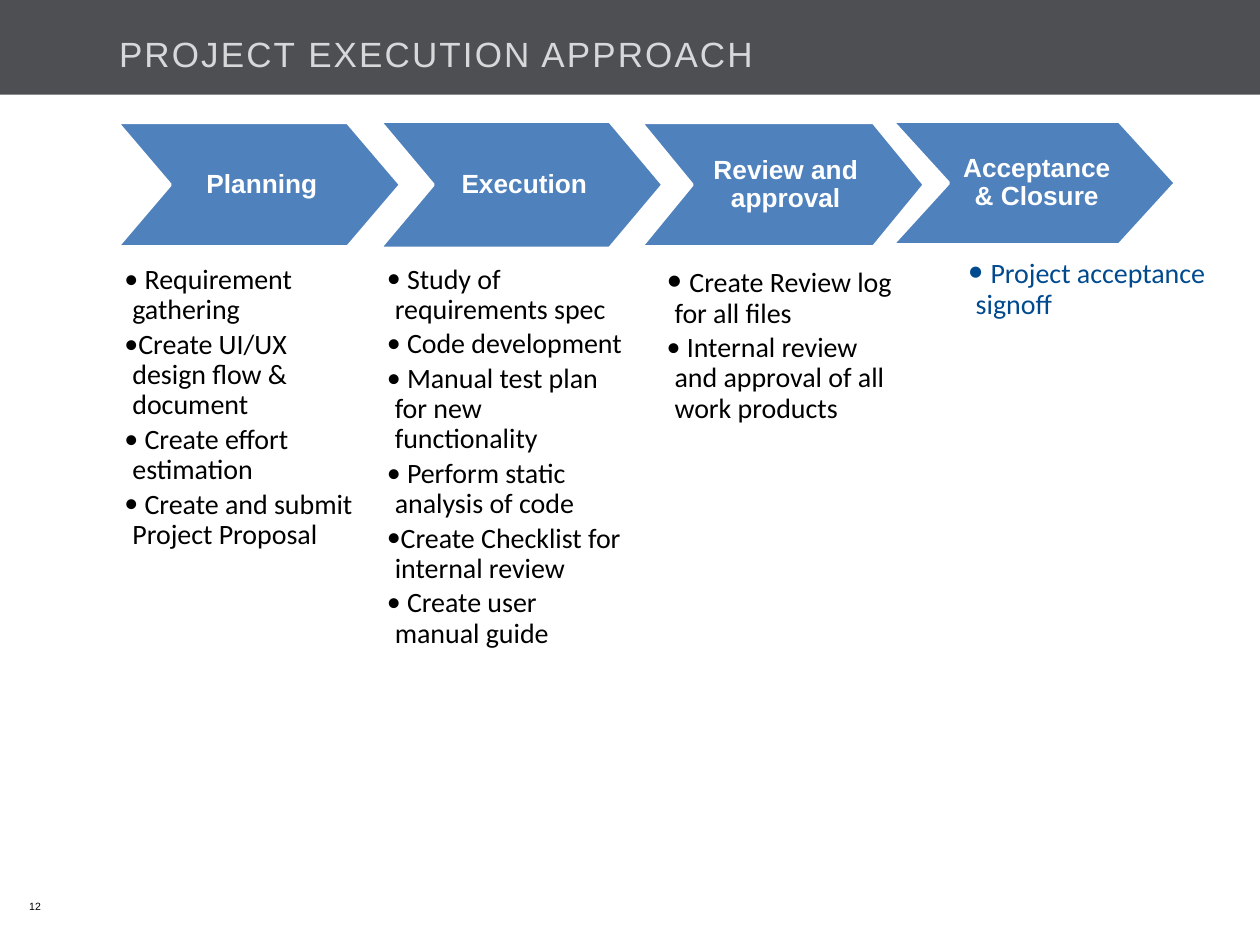
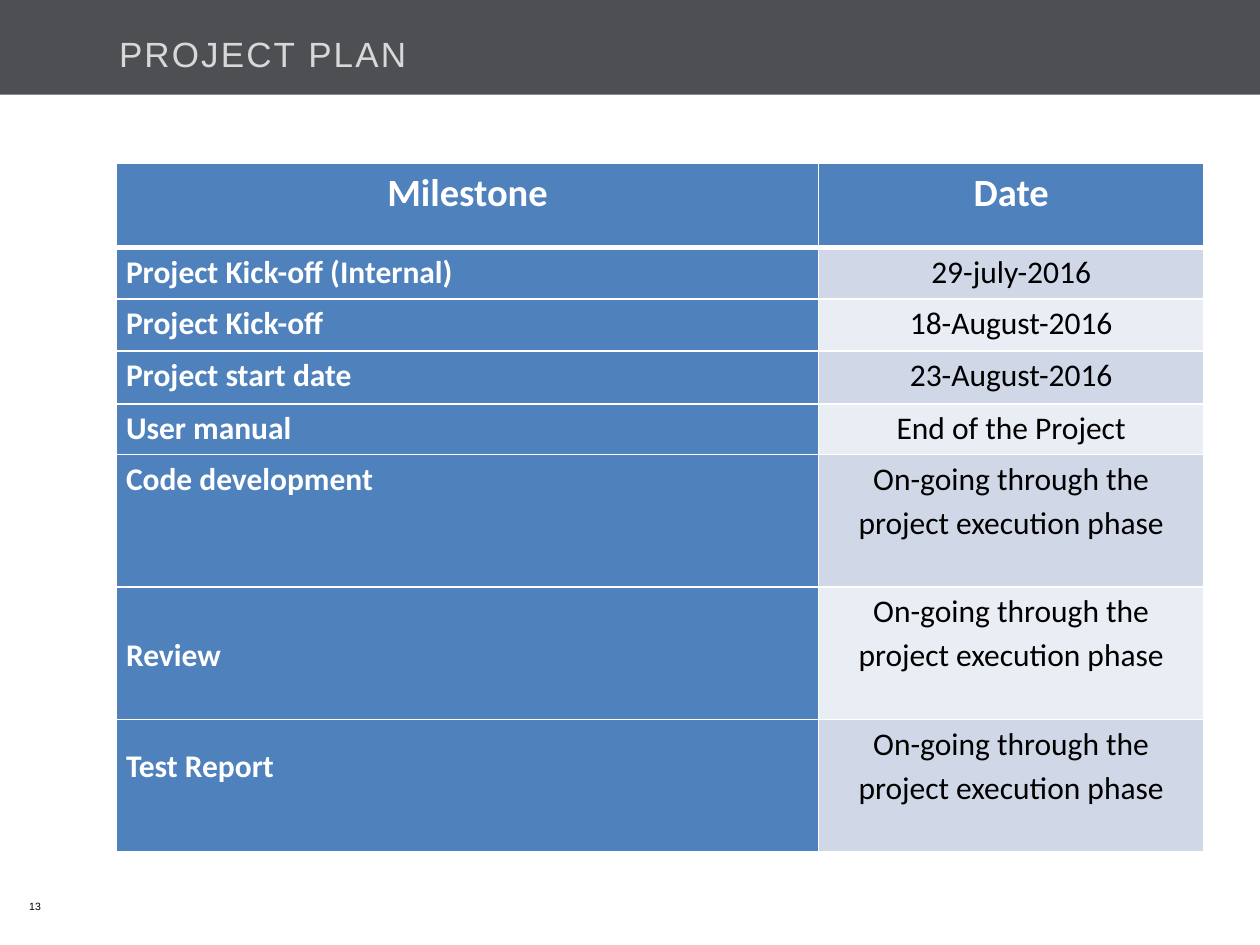
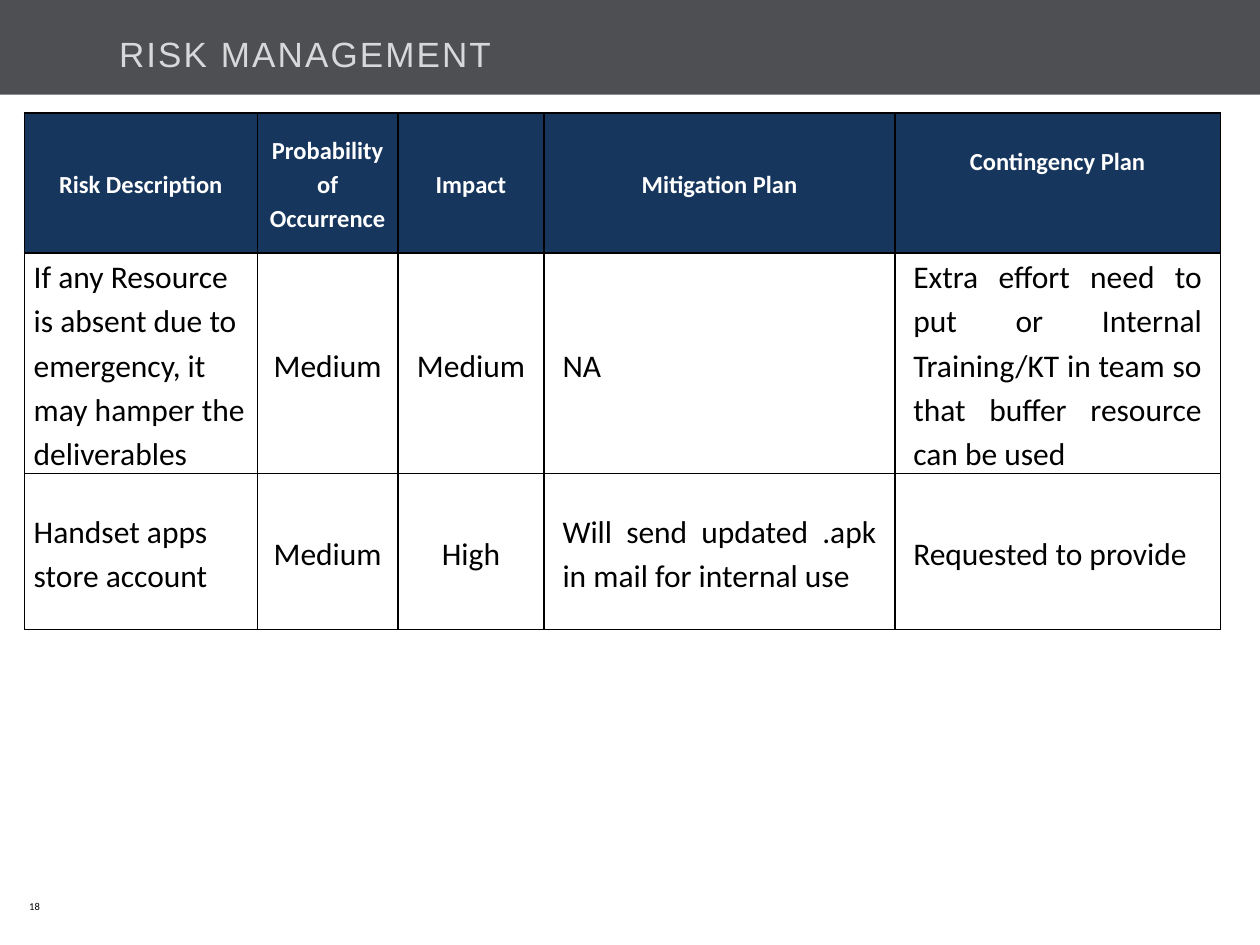
import pptx
import pptx.util
import pptx.dml.color
import pptx.enum.shapes
import pptx.enum.text
import pptx.oxml.ns
from lxml import etree

Cm = pptx.util.Cm
Pt = pptx.util.Pt
ALIGN = pptx.enum.text.PP_ALIGN
ANCHOR = pptx.enum.text.MSO_ANCHOR
SHAPE = pptx.enum.shapes.MSO_SHAPE
qn = pptx.oxml.ns.qn

COLORS = {
    "band": "4D4F53", "title": "D7D8D9", "blue": "4F81BD", "navy": "17365D",
    "link": "014A8E", "black": "000000", "white": "FFFFFF",
    "stripe": "D0D8E8", "pale": "E9EDF4",
}
BODY_FONT = "Calibri"


def rgb(name):
    return pptx.dml.color.RGBColor.from_string(COLORS[name])


def apply(obj, values):
    for key, value in values.items():
        setattr(obj, key, value)


class Deck:
    def __init__(self):
        self.prs = pptx.Presentation()
        apply(self.prs, {"slide_width": Cm(25.4), "slide_height": Cm(19.05)})
        self.s = None

    def slide(self, title, number, number_font="Arial"):
        self.s = self.prs.slides.add_slide(self.prs.slide_layouts[6])
        self.shape(SHAPE.RECTANGLE, (0, 17.53, 25.4, 1.52), "white")
        self.shape(SHAPE.RECTANGLE, (0, 0, 25.4, 1.91), "band")
        tf = self.box((0.29, 17.76, 1.68, 1.02), ANCHOR.MIDDLE, 0.3)
        self.run(tf.paragraphs[0], number, 6, "black", number_font)
        tf = self.box((2.4, 0.23, 21.72, 1.27), ANCHOR.BOTTOM)
        r = self.run(tf.paragraphs[0], title, 20, "title", "Arial")
        r.font._element.set("spc", "120")

    def shape(self, kind, at, fill=None, line=None):
        sp = self.s.shapes.add_shape(kind, *map(Cm, at))
        sp.shadow.inherit = False
        if fill:
            sp.fill.solid()
            sp.fill.fore_color.rgb = rgb(fill)
        else:
            sp.fill.background()
        if line:
            sp.line.color.rgb = rgb(line)
            sp.line.width = Pt(2)
        else:
            sp.line.fill.background()
        return sp

    def frame(self, tf, anchor, left=0, right=0):
        apply(tf, {"word_wrap": True, "vertical_anchor": anchor,
                   "margin_left": Cm(left), "margin_right": Cm(right),
                   "margin_top": 0, "margin_bottom": 0})
        return tf

    def box(self, at, anchor=ANCHOR.TOP, inset=0):
        sp = self.s.shapes.add_textbox(*map(Cm, at))
        return self.frame(sp.text_frame, anchor, inset, inset)

    def run(self, p, text, size, color, font=BODY_FONT, bold=False):
        r = p.add_run()
        r.text = text
        apply(r.font, {"name": font, "size": Pt(size), "bold": bold})
        r.font.color.rgb = rgb(color)
        return r

    def chevron(self, at, point, text):
        sp = self.shape(SHAPE.CHEVRON, at, "blue", "white")
        sp.adjustments[0] = point / at[3]
        p = self.frame(sp.text_frame, ANCHOR.MIDDLE, 0.12).paragraphs[0]
        apply(p, {"alignment": ALIGN.CENTER, "line_spacing": 0.9})
        self.run(p, text, 15, "white", "Arial", True)

    def bullets(self, at, items, color="black", lead=16):
        sp = self.shape(SHAPE.RECTANGLE, at)
        tf = self.frame(sp.text_frame, ANCHOR.TOP)
        for i, item in enumerate(items):
            p = tf.add_paragraph() if i else tf.paragraphs[0]
            apply(p, {"alignment": ALIGN.LEFT, "line_spacing": 0.9,
                      "space_after": Pt(2.5)})
            pPr = p._p.get_or_add_pPr()
            pPr.set("marL", str(Cm(0.31)))
            pPr.set("indent", str(-Cm(0.16)))
            etree.SubElement(pPr, qn("a:buFont")).set("typeface", BODY_FONT)
            etree.SubElement(pPr, qn("a:buChar")).set("char", "•")
            text = item.lstrip()
            if text != item:
                self.run(p, " ", 16 if i else lead, color)
            self.run(p, text, 16, color)

    def table(self, left, top, cols, rows):
        gf = self.s.shapes.add_table(len(rows), len(cols), Cm(left), Cm(top),
                                     Cm(sum(cols)), Cm(sum(rows)))
        tbl = gf.table
        for col, width in zip(tbl.columns, cols):
            col.width = Cm(width)
        for row, height in zip(tbl.rows, rows):
            row.height = Cm(height)
        return tbl

    def cell(self, cell, text, size, color, fill, border, bold=False,
             align=ALIGN.LEFT, anchor=ANCHOR.MIDDLE, indent=0, top=0,
             bottom=0, widths=(1, 1, 1, 1)):
        tcPr = cell._tc.get_or_add_tcPr()
        for side, width in zip("LRTB", widths):
            ln = etree.SubElement(tcPr, qn("a:ln" + side), w=str(Pt(width)))
            solid = etree.SubElement(ln, qn("a:solidFill"))
            etree.SubElement(solid, qn("a:srgbClr"), val=COLORS[border])
        cell.fill.solid()
        cell.fill.fore_color.rgb = rgb(fill)
        side_margin = Cm(0.19 + indent)
        apply(cell, {"vertical_anchor": anchor,
                     "margin_left": side_margin, "margin_right": side_margin,
                     "margin_top": Cm(top), "margin_bottom": Cm(bottom)})
        p = cell.text_frame.paragraphs[0]
        apply(p, {"alignment": align, "line_spacing": 1.15})
        self.run(p, text, size, color, bold=bold)


def approach(d):
    d.slide("PROJECT EXECUTION APPROACH", "12")
    for left, top, height, point, text in [
        (2.36, 2.47, 2.51, 1.07, "Planning"),
        (7.65, 2.44, 2.57, 1.08, "Execution"),
        (12.92, 2.47, 2.51, 1.03, "Review and approval"),
        (17.98, 2.44, 2.5, 1.14, "Acceptance & Closure"),
    ]:
        d.chevron((left, top, 5.72, height), point, text)
    d.bullets((2.36, 5.35, 4.98, 6.22), [
        " Requirement gathering",
        "Create UI/UX design flow & document",
        " Create effort estimation",
        " Create and submit Project Proposal",
    ])
    d.bullets((7.65, 5.34, 4.98, 8.36), [
        " Study of requirements spec",
        " Code development",
        " Manual test plan for new functionality",
        " Perform static analysis of code",
        "Create Checklist for internal review",
        " Create user manual guide",
    ])
    d.bullets((13.29, 5.34, 4.7, 2.62), [
        " Create Review log for all files",
        " Internal review and approval of all work products",
    ], lead=18)
    d.bullets((19.36, 5.16, 5.49, 1.52), [" Project acceptance signoff"],
              "link", 18)


def plan(d):
    d.slide("PROJECT PLAN", "13")
    ongoing = "On-going through the project execution phase"
    milestones = [
        ("Project Kick-off (Internal)", "29-july-2016", 1.04, {}),
        ("Project Kick-off", "18-August-2016", 1.05, {}),
        ("Project start date", "23-August-2016", 1.06, {}),
        ("User manual", "End of the Project", 1.02, {}),
        ("Code development", ongoing, 2.67, {}),
        ("Review", ongoing, 2.67, {"anchor": ANCHOR.MIDDLE}),
        ("Test Report", ongoing, 2.67,
         {"anchor": ANCHOR.MIDDLE, "bottom": 0.86}),
    ]
    tbl = d.table(2.35, 3.29, [14.15, 7.77], [1.7] + [m[2] for m in milestones])
    for c, text in enumerate(("Milestone", "Date")):
        d.cell(tbl.cell(0, c), text, 22, "white", "blue", "white", True,
               ALIGN.CENTER, ANCHOR.TOP, widths=(1, 1, 1, 3))
    for i, (name, date, height, layout) in enumerate(milestones, 1):
        widths = (1, 1, 3 if i == 1 else 1, 1)
        d.cell(tbl.cell(i, 0), name, 18, "white", "blue", "white", True,
               **{"anchor": ANCHOR.TOP, "widths": widths, **layout})
        d.cell(tbl.cell(i, 1), date, 18, "black",
               "stripe" if i % 2 else "pale", "white", align=ALIGN.CENTER,
               anchor=ANCHOR.TOP, widths=widths)


def risks(d):
    d.slide("RISK MANAGEMENT", "18", BODY_FONT)
    headers = ["Risk Description", "Probability of Occurrence", "Impact",
               "Mitigation Plan", "Contingency Plan"]
    entries = [
        ["If any Resource is absent due to emergency, it may hamper the "
         "deliverables", "Medium", "Medium", "NA",
         "Extra effort need to put or Internal Training/KT in team so that "
         "buffer resource can be used"],
        ["Handset apps store account", "Medium", "High",
         "Will send updated .apk in mail for internal use",
         "Requested to provide"],
    ]
    tbl = d.table(0.49, 2.28, [4.7, 2.83, 2.95, 7.07, 6.56],
                  [2.82, 4.45, 3.14])
    for c, text in enumerate(headers):
        layout = {"anchor": ANCHOR.TOP, "top": 0.6} if c == 4 else {}
        d.cell(tbl.cell(0, c), text, 14, "white", "navy", "black", True,
               ALIGN.CENTER, **layout)
    aligns = [ALIGN.LEFT, ALIGN.CENTER, ALIGN.CENTER,
              ALIGN.JUSTIFY, ALIGN.JUSTIFY]
    for i, entry in enumerate(entries, 1):
        for c, (text, align) in enumerate(zip(entry, aligns)):
            d.cell(tbl.cell(i, c), text, 18, "black", "white", "black",
                   align=align,
                   indent=0.18 if align == ALIGN.JUSTIFY else 0)


def main():
    d = Deck()
    approach(d)
    plan(d)
    risks(d)
    d.prs.save("out.pptx")


if __name__ == "__main__":
    main()
